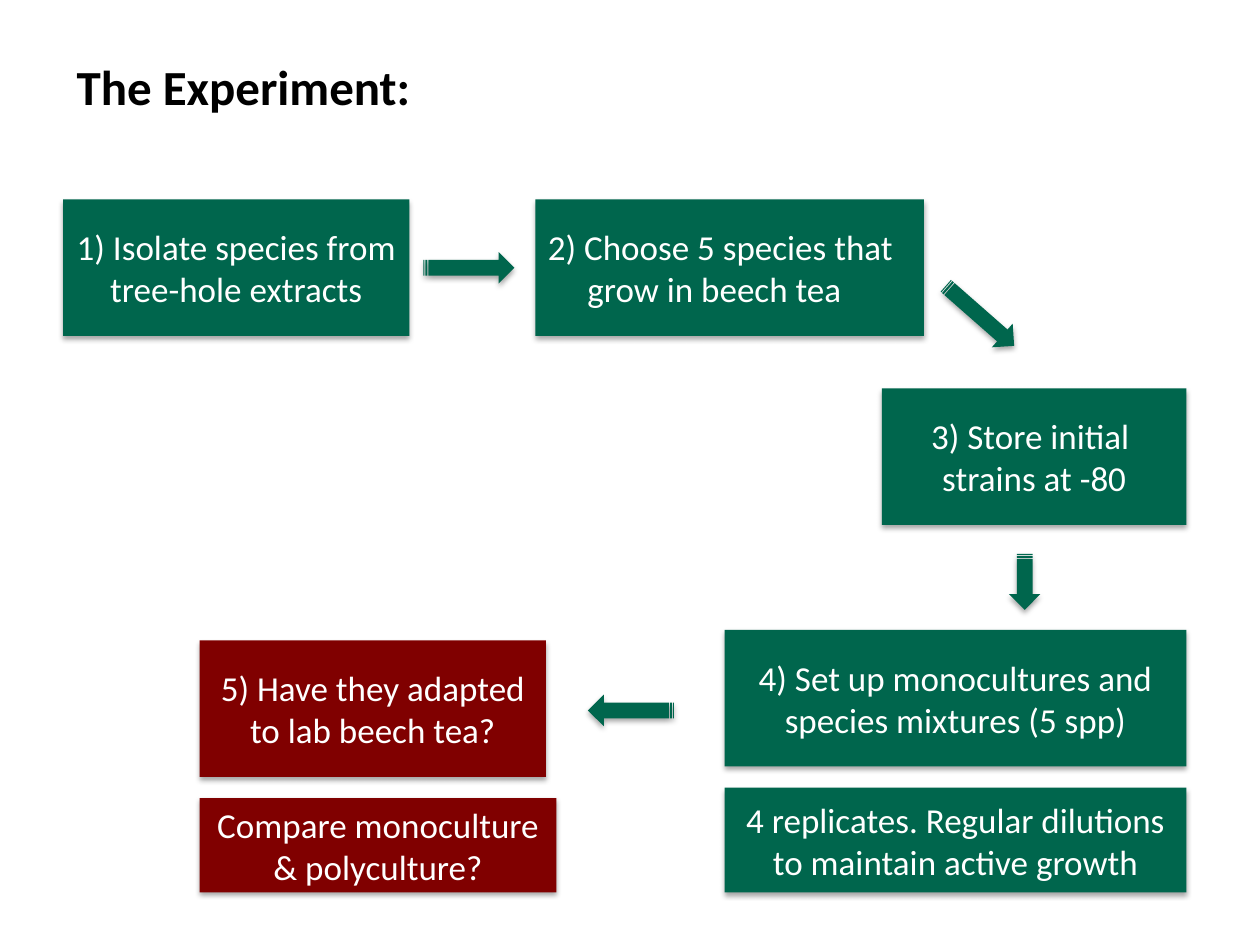
from lxml.etree import SubElement
from pptx import Presentation
from pptx.dml.color import RGBColor
from pptx.enum.shapes import MSO_SHAPE as Preset
from pptx.enum.text import MSO_ANCHOR as Anchor, PP_ALIGN as Align
from pptx.oxml.ns import qn
from pptx.util import Pt

GREEN, RED, WHITE, BLACK = "00664D", "800000", "FFFFFF", "000000"
STEP_HEIGHT = 78
ARROW_HEIGHT = 18


def color(value):
    return RGBColor.from_string(value)


class Board:
    font = "Calibri"
    title_size = 28
    step_size = 20

    def __init__(self, slide):
        self.slide = slide

    def add_words(self, paragraph, words, size, ink, bold=False):
        run = paragraph.add_run()
        run.text = words
        run.font.name = self.font
        run.font.size = Pt(size)
        run.font.bold = bold
        run.font.color.rgb = color(ink)

    def title(self, words, left, top, width, height):
        heading = self.slide.shapes.add_textbox(Pt(left), Pt(top), Pt(width), Pt(height))
        heading.text_frame.word_wrap = False
        self.add_words(heading.text_frame.paragraphs[0], words, self.title_size, BLACK, True)

    def solid(self, preset, left, top, width, height, fill):
        shape = self.slide.shapes.add_shape(preset, Pt(left), Pt(top), Pt(width), Pt(height))
        shape.fill.solid()
        shape.fill.fore_color.rgb = color(fill)
        shape.line.fill.background()
        shape.shadow.inherit = False
        effects = shape._element.spPr.find(qn("a:effectLst"))
        shadow = SubElement(effects, qn("a:outerShdw"), blurRad=str(Pt(3.1)),
                            dist=str(Pt(1.8)), dir="5400000", rotWithShape="0")
        tint = SubElement(shadow, qn("a:srgbClr"), val=BLACK)
        SubElement(tint, qn("a:alpha"), val="35000")
        return shape

    def step(self, lines, left, top, width, height=STEP_HEIGHT, fill=GREEN,
             align=Align.CENTER, indents=(0, 0)):
        frame = self.solid(Preset.RECTANGLE, left, top, width, height, fill).text_frame
        frame.word_wrap = True
        frame.vertical_anchor = Anchor.MIDDLE
        for index, (line, indent) in enumerate(zip(lines, indents)):
            paragraph = frame.add_paragraph() if index else frame.paragraphs[0]
            paragraph.alignment = align
            if indent:
                paragraph._p.get_or_add_pPr().set("marL", str(Pt(indent)))
            self.add_words(paragraph, line, self.step_size, WHITE)

    def arrow(self, left, top, length, angle=0):
        arrow = self.solid(Preset.STRIPED_RIGHT_ARROW, left, top, length, ARROW_HEIGHT, GREEN)
        arrow.rotation = angle


def main():
    deck = Presentation()
    deck.slide_width, deck.slide_height = Pt(720), Pt(540)
    board = Board(deck.slides.add_slide(deck.slide_layouts[6]))

    board.title("The Experiment:", 36.7, 28.8, 206.6, 103)

    board.arrow(336, 397, 49, 180)
    board.step(["5) Have they adapted to lab beech tea?"], 114, 366, 198, fill=RED)
    board.step(["Compare monoculture & polyculture?"], 114, 456, 204, 54, RED)
    board.step(["4) Set up monocultures and species mixtures (5 spp)"], 414, 360, 264)
    board.arrow(569.5, 323.5, 32, 90)
    board.step(["4 replicates. Regular dilutions to maintain active growth"], 414, 450, 264, 60)
    board.step(["3) Store initial ", "strains at -80"], 504, 222, 174)
    board.arrow(534, 171.5, 52, 41.3)
    board.step(["1) Isolate species from tree-hole extracts"], 36, 114, 198)
    board.step(["2) Choose 5 species that", "grow in beech tea"], 306, 114, 222,
               align=Align.LEFT, indents=(0, 22.6))
    board.arrow(242, 144, 52)

    deck.save("out.pptx")


if __name__ == "__main__":
    main()
